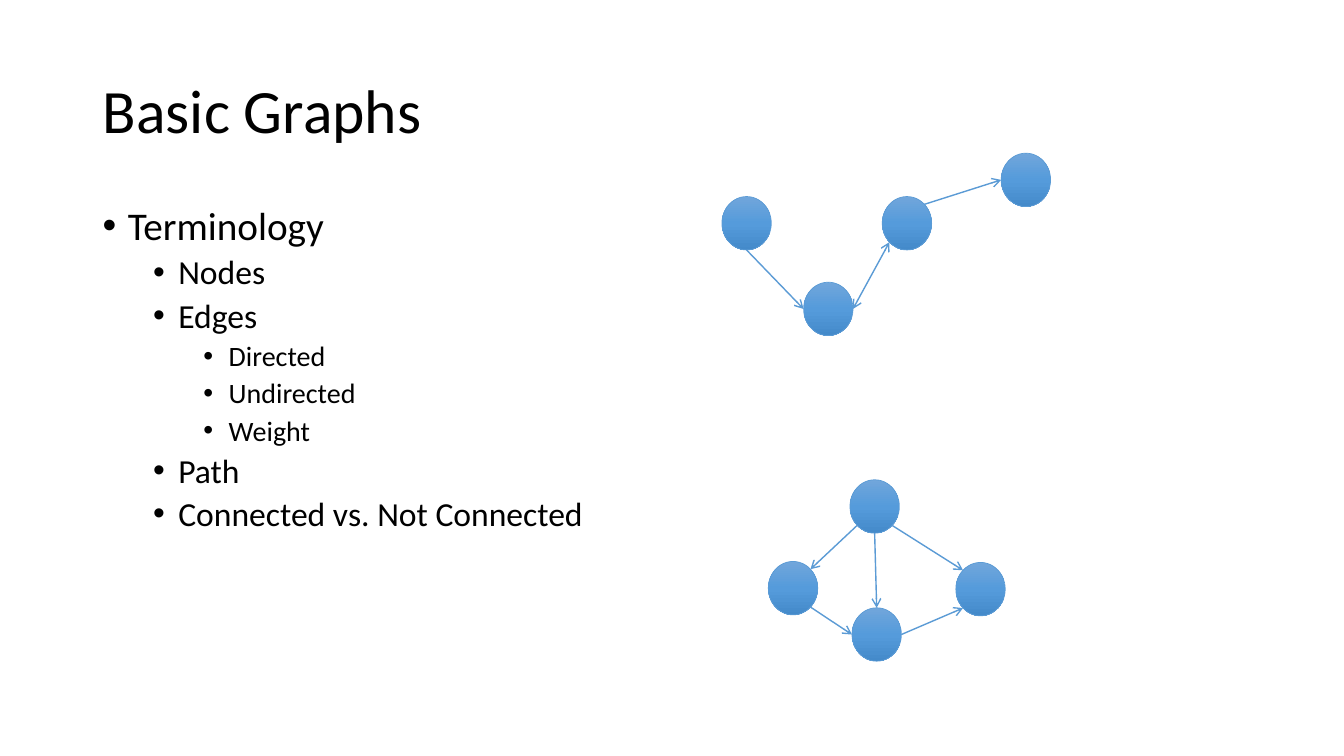
from copy import deepcopy

from lxml.etree import SubElement
from pptx import Presentation
from pptx.dml.color import RGBColor
from pptx.enum.shapes import MSO_CONNECTOR, MSO_SHAPE
from pptx.enum.text import MSO_ANCHOR, MSO_AUTO_SIZE, PP_ALIGN
from pptx.oxml.ns import qn
from pptx.util import Inches, Pt

BLACK = RGBColor(0x00, 0x00, 0x00)
BLUE = RGBColor(0x5B, 0x9B, 0xD5)
SHADES = [
    (0, RGBColor(0x71, 0xA6, 0xDB)),
    (0.5, RGBColor(0x55, 0x9B, 0xDB)),
    (1, RGBColor(0x44, 0x8A, 0xCA)),
]
FONT = "Calibri"
WIDE, HIGH = 0.49, 0.53
DIAG = 0.354
SITES = {
    "top": (0, -0.5), "left": (-0.5, 0), "bottom": (0, 0.5), "right": (0.5, 0),
    "top left": (-DIAG, -DIAG), "top right": (DIAG, -DIAG),
    "bottom left": (-DIAG, DIAG), "bottom right": (DIAG, DIAG),
}
TERMS = [
    ("Terminology", 0), ("Nodes", 1), ("Edges", 1),
    ("Directed", 2), ("Undirected", 2), ("Weight", 2),
    ("Path", 1), ("Connected vs. Not Connected", 1),
]
SIZES = [28, 24, 20]
CHAIN = {"A": (7.16, 1.95), "B": (7.97, 2.8), "C": (8.75, 1.95), "D": (9.93, 1.52)}
CHAIN_EDGES = [
    ("A", "bottom", "B", "left", False),
    ("B", "right", "C", "bottom left", True),
    ("C", "top right", "D", "left", False),
]
DIAMOND = {"A": (8.43, 4.76), "B": (7.62, 5.57), "C": (9.48, 5.58), "D": (8.45, 6.03)}
DIAMOND_EDGES = [
    ("A", "bottom left", "B", "top right", False),
    ("A", "bottom", "D", "top", False),
    ("A", "bottom right", "C", "top left", False),
    ("B", "bottom right", "D", "left", False),
    ("D", "right", "C", "bottom left", False),
]


def write(para, text, size, before=0, level=0, bullet=False):
    para.alignment = PP_ALIGN.LEFT
    para.line_spacing = 0.9
    para.space_before = Pt(before)
    para.level = level
    run = para.add_run()
    run.text = text
    run.font.name = FONT
    run.font.size = Pt(size)
    run.font.color.rgb = BLACK
    if bullet:
        props = para._p.get_or_add_pPr()
        props.set("marL", str(Inches(0.25 + 0.5 * level)))
        props.set("indent", str(Inches(-0.25)))
        SubElement(props, qn("a:buFont"), typeface="Arial")
        SubElement(props, qn("a:buChar"), char="•")


def place(shape, left, top, width, height):
    shape.left, shape.top = Inches(left), Inches(top)
    shape.width, shape.height = Inches(width), Inches(height)


def add_title(slide, text):
    title = slide.shapes.title
    place(title, 0.92, 0.4, 11.5, 1.45)
    frame = title.text_frame
    frame.auto_size = MSO_AUTO_SIZE.NONE
    frame.vertical_anchor = MSO_ANCHOR.MIDDLE
    write(frame.paragraphs[0], text, 44)


def add_terms(slide):
    box = slide.shapes.add_textbox(Inches(0.92), Inches(2), Inches(11.5), Inches(4.76))
    frame = box.text_frame
    frame.word_wrap = True
    for i, (text, level) in enumerate(TERMS):
        para = frame.add_paragraph() if i else frame.paragraphs[0]
        write(para, text, SIZES[level], before=5 if level else 10,
              level=level, bullet=True)


def add_node(slide, left, top):
    node = slide.shapes.add_shape(
        MSO_SHAPE.OVAL, Inches(left), Inches(top), Inches(WIDE), Inches(HIGH))
    node.shadow.inherit = False
    node.line.color.rgb = BLUE
    node.line.width = Pt(0.5)
    fill = node.fill
    fill.gradient()
    fill.gradient_angle = 270
    stops = node._element.spPr.find(".//" + qn("a:gsLst"))
    stops.append(deepcopy(stops[-1]))
    for stop, (pos, color) in zip(fill.gradient_stops, SHADES):
        stop.position = pos
        stop.color.rgb = color


def find_site(corner, side):
    dx, dy = SITES[side]
    left, top = corner
    return Inches(left + WIDE * (0.5 + dx)), Inches(top + HIGH * (0.5 + dy))


def add_edge(slide, start, end, both):
    edge = slide.shapes.add_connector(MSO_CONNECTOR.STRAIGHT, *start, *end)
    edge.line.color.rgb = BLUE
    edge.line.width = Pt(1)
    line = edge.line._get_or_add_ln()
    if both:
        SubElement(line, qn("a:headEnd"), type="arrow")
    SubElement(line, qn("a:tailEnd"), type="arrow")
    SubElement(edge._element.spPr, qn("a:effectLst"))


def add_graph(slide, nodes, edges):
    for corner in nodes.values():
        add_node(slide, *corner)
    for first, out, last, into, both in edges:
        add_edge(slide, find_site(nodes[first], out),
                 find_site(nodes[last], into), both)


def main():
    deck = Presentation()
    deck.slide_width, deck.slide_height = Inches(13.33), Inches(7.5)
    slide = deck.slides.add_slide(deck.slide_layouts.get_by_name("Title Only"))
    add_title(slide, "Basic Graphs")
    add_terms(slide)
    add_graph(slide, CHAIN, CHAIN_EDGES)
    add_graph(slide, DIAMOND, DIAMOND_EDGES)
    deck.save("out.pptx")


if __name__ == "__main__":
    main()
